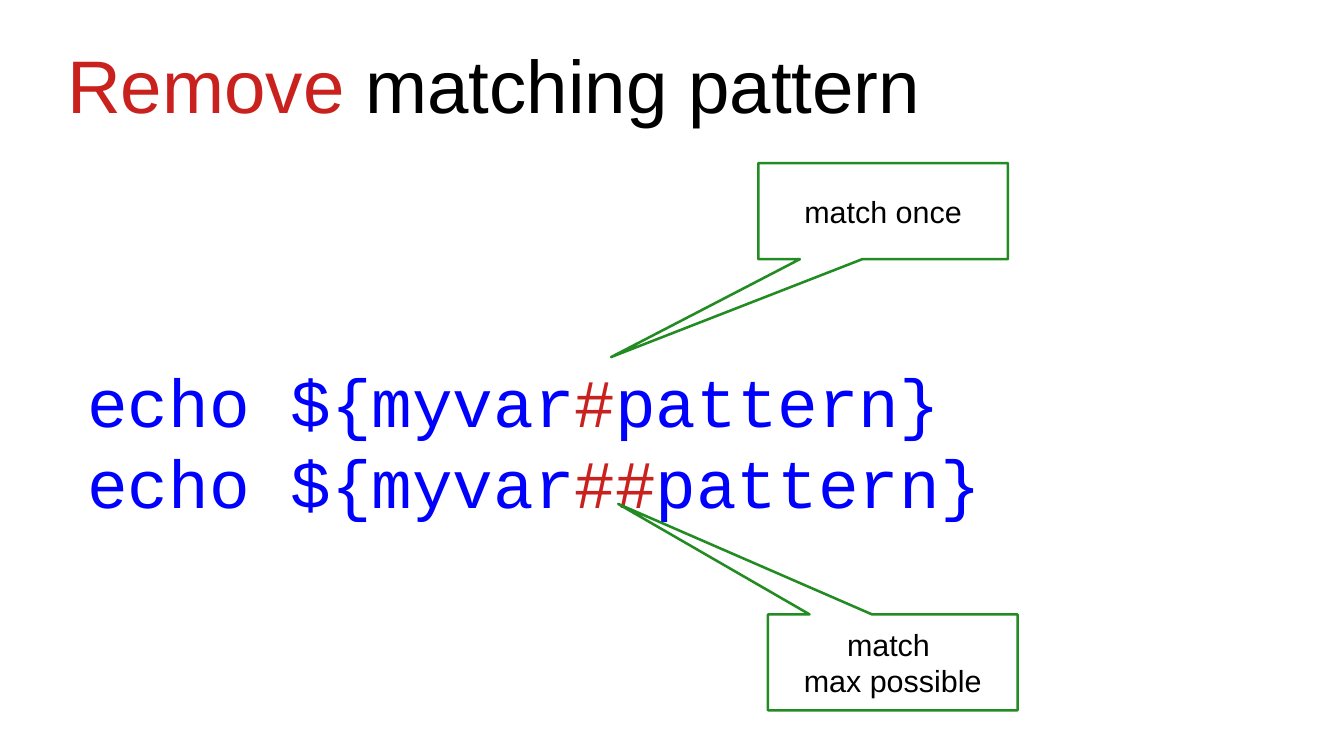
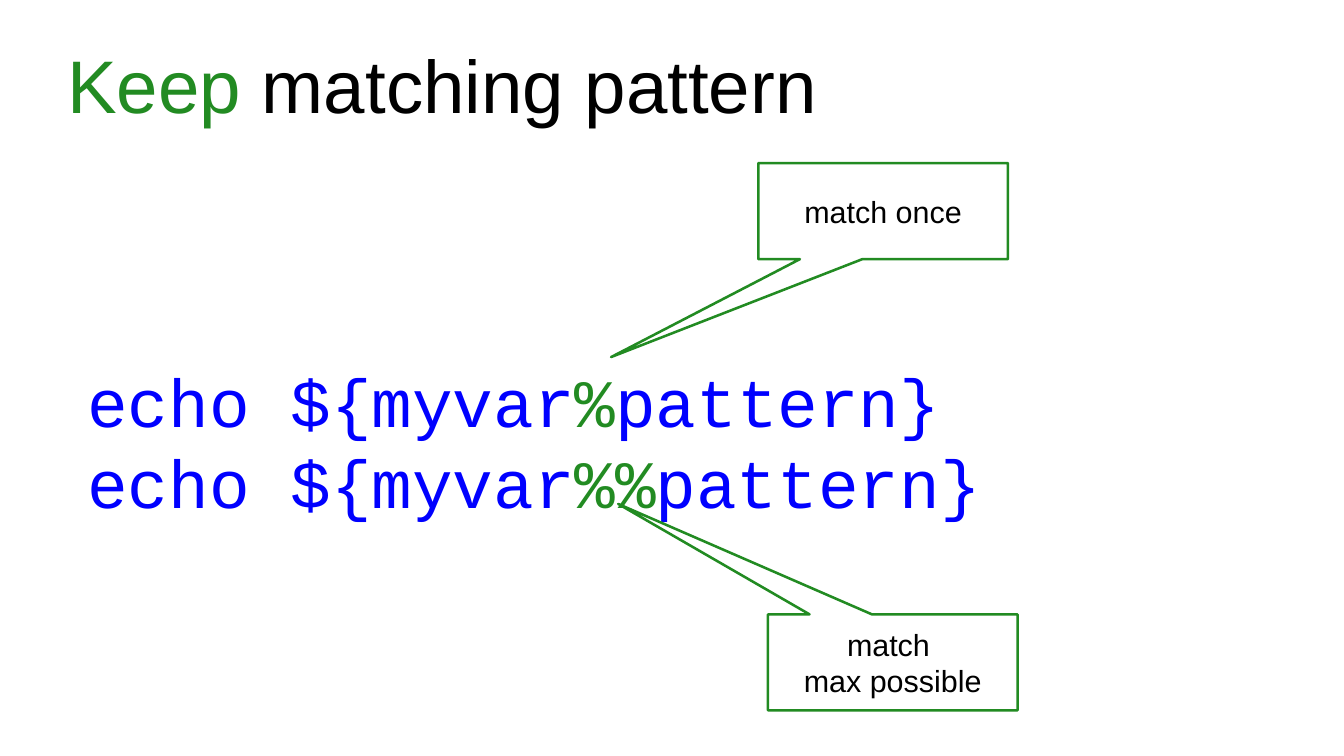
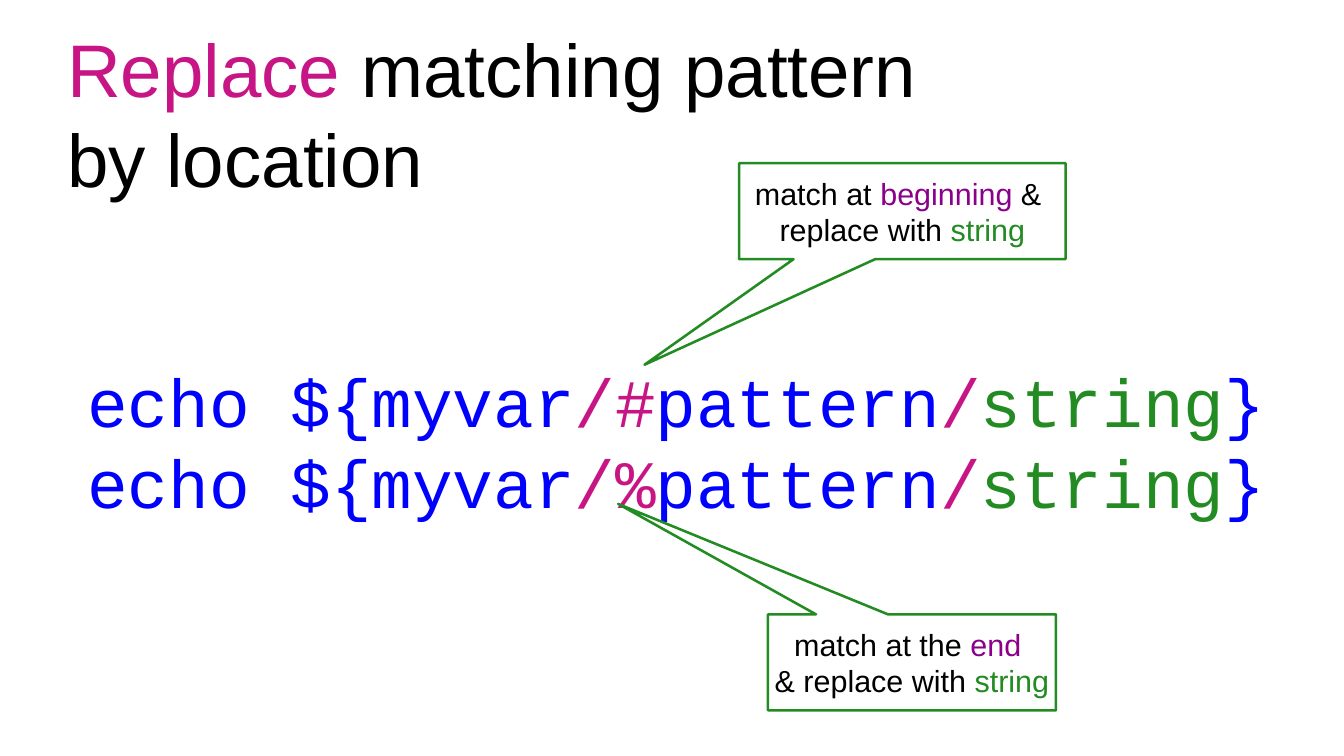
"""Build three slides on shell pattern matching, each with code and two callouts."""
from dataclasses import dataclass

from pptx import Presentation
from pptx.dml.color import RGBColor as RGB
from pptx.enum.shapes import MSO_SHAPE as Shape
from pptx.enum.text import MSO_ANCHOR as Anchor, PP_ALIGN as Align
from pptx.util import Cm, Pt


@dataclass(frozen=True)
class Theme:
    black: RGB = RGB(0x00, 0x00, 0x00)
    blue: RGB = RGB(0x00, 0x00, 0xFF)
    red: RGB = RGB(0xC9, 0x21, 0x1E)
    green: RGB = RGB(0x22, 0x8B, 0x22)
    pink: RGB = RGB(0xC7, 0x15, 0x85)
    plum: RGB = RGB(0x8B, 0x00, 0x8B)
    sans: str = "Arial"
    mono: str = "Courier New"
    head: int = 44
    code: int = 40
    note: int = 18
    line: float = 1.5


theme = Theme()


def write(frame, lines, font, size, base, align, pad):
    """Fill a frame with lines of runs, each a plain string or a (text, colour) pair."""
    frame.margin_left = frame.margin_right = Cm(pad[0])
    frame.margin_top = frame.margin_bottom = Cm(pad[1])
    for i, line in enumerate(lines):
        para = frame.add_paragraph() if i else frame.paragraphs[0]
        para.alignment = align
        for part in line:
            text, color = (part, base) if isinstance(part, str) else part
            run = para.add_run()
            run.text = text
            run.font.name = font
            run.font.size = Pt(size)
            run.font.color.rgb = color


def add_text(slide, box, lines, font, size, base, anchor, pad):
    """Add a wrapping text box at a place given in centimetres."""
    frame = slide.shapes.add_textbox(*map(Cm, box)).text_frame
    frame.word_wrap = True
    frame.vertical_anchor = anchor
    write(frame, lines, font, size, base, Align.LEFT, pad)


def_start = "echo ${myvar"
once = ((15.8, 3.4, 5.2), (-1.09, 1.52), [["match once"]])
most = ((16, 12.8, 5.2), (-1.1, -1.65), [["match "], ["max possible"]])
word = ("string", theme.green)
first = ((15.4, 3.4, 6.8), (-0.79, 1.6),
         [["match at ", ("beginning", theme.plum), " & "], ["replace with ", word]])
last = ((16, 12.8, 6), (-1.02, -1.65),
        [["match at the ", ("end ", theme.plum)], ["& replace with ", word]])

pages = []
for verb, mark, color in (("Remove", "#", theme.red), ("Keep", "%", theme.green)):
    title = [[(verb, color), " matching pattern"]]
    code = [[def_start, (mark * n, color), "pattern}"] for n in (1, 2)]
    pages.append((title, (0.43, 2.63), code, (22.8, 3.45), (once, most)))

title = [[("Replace", theme.pink), " matching pattern "], ["by location"]]
code = [[def_start, ("/" + mark, theme.pink), "pattern", ("/", theme.pink), word, "}"]
        for mark in "#%"]
pages.append((title, (0.61, 3.48), code, (25.6, 5.03), (first, last)))

deck = Presentation()
deck.slide_width, deck.slide_height = Cm(28), Cm(15.75)
blank = deck.slide_layouts[6]

for title, (top, tall), code, size, notes in pages:
    slide = deck.slides.add_slide(blank)
    add_text(slide, (1.4, top, 25.2, tall), title, theme.sans, theme.head,
             theme.black, Anchor.MIDDLE, (0, 0))
    add_text(slide, (1.57, 7.37, *size), code, theme.mono, theme.code,
             theme.blue, Anchor.TOP, (0.25, 0.13))
    for box, tip, lines in notes:
        note = slide.shapes.add_shape(Shape.RECTANGULAR_CALLOUT, *map(Cm, (*box, 2)))
        note.adjustments[0], note.adjustments[1] = tip
        note.shadow.inherit = False
        note.fill.background()
        note.line.color.rgb = theme.green
        note.line.width = Pt(theme.line)
        frame = note.text_frame
        frame.word_wrap = False
        frame.vertical_anchor = Anchor.MIDDLE
        write(frame, lines, theme.sans, theme.note, theme.black, Align.CENTER, (0.28, 0.15))

deck.save("out.pptx")
